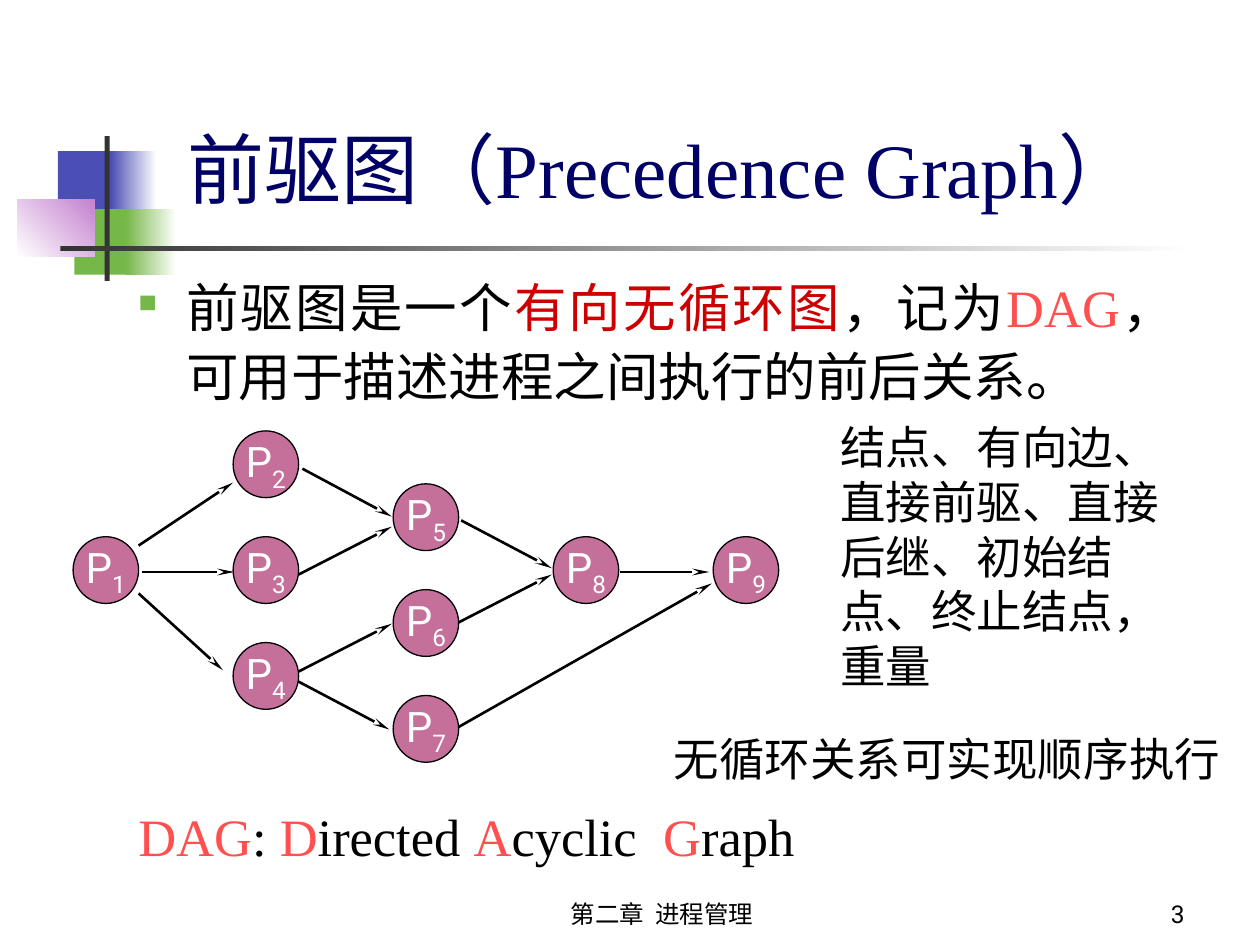
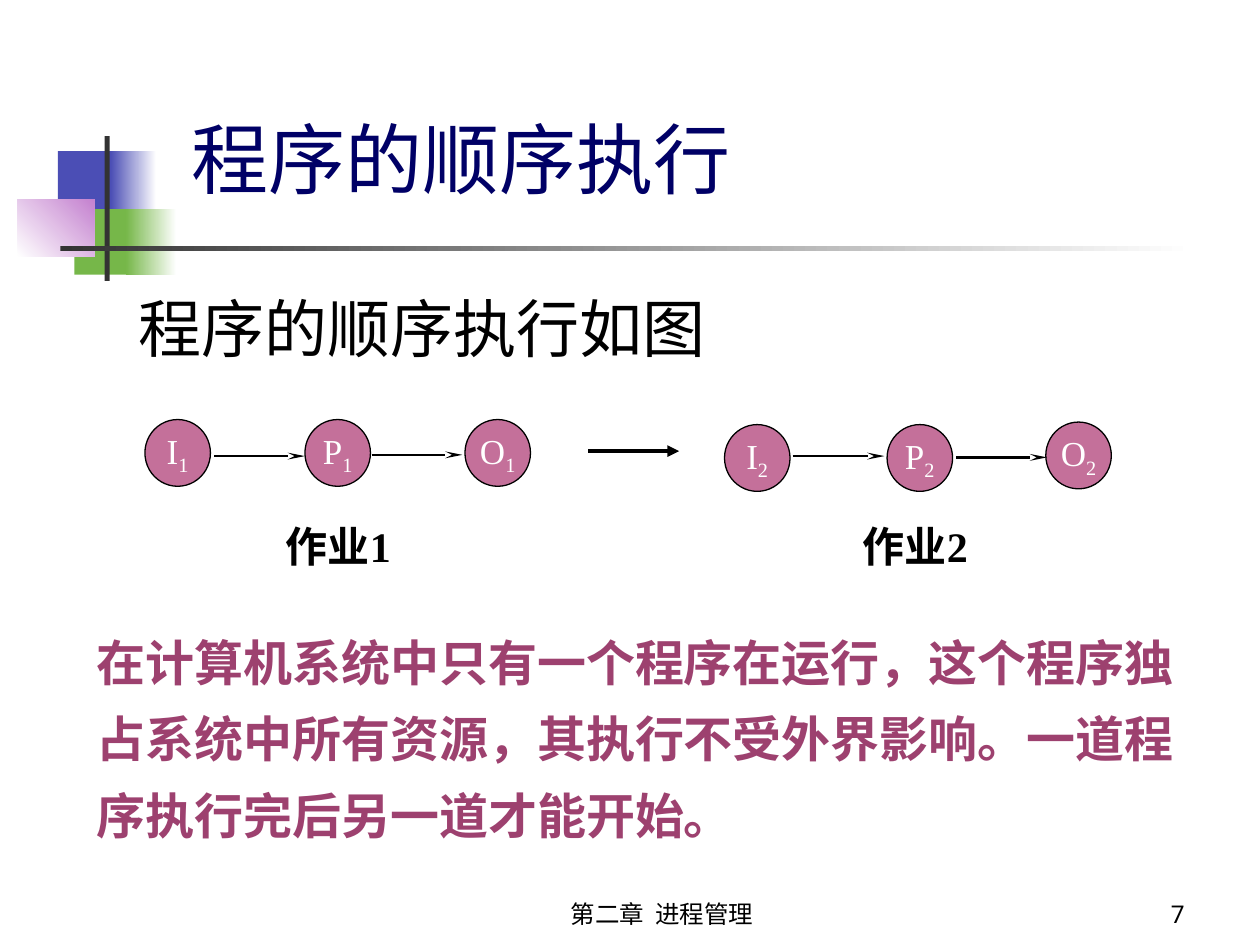
"""Build two slides on precedence graphs and sequential program execution."""
from dataclasses import dataclass, field
from typing import Any, NamedTuple, Optional

from lxml import etree
from pptx import Presentation
from pptx import util as u
from pptx.dml.color import RGBColor
from pptx.enum import shapes, text
from pptx.oxml.ns import qn

EMU_PER_PX = 9144

BLACK = RGBColor(0x00, 0x00, 0x00)
WHITE = RGBColor(0xFF, 0xFF, 0xFF)
NAVY = RGBColor(0x00, 0x00, 0x66)
BLUE = RGBColor(0x4B, 0x4E, 0xB5)
GREEN = RGBColor(0x76, 0xB7, 0x49)
LILAC = RGBColor(0xC4, 0x81, 0xCF)
CHARCOAL = RGBColor(0x33, 0x33, 0x33)
MAUVE = RGBColor(0xC4, 0x70, 0x9A)
PLUM = RGBColor(0x9D, 0x41, 0x6F)
RED = RGBColor(0xCC, 0x00, 0x00)
CORAL = RGBColor(0xFF, 0x50, 0x50)

SERIF = "Times New Roman"
SANS = "Roboto"
NARROW = "Arial Narrow"
CHINESE = "Noto Sans CJK SC"

NODE_WIDTH, NODE_HEIGHT = 52, 53
FOOTER = "第二章  进程管理"


class Box(NamedTuple):
    """Left, top, width and height in px."""

    left: int
    top: int
    width: int
    height: int


class Band(NamedTuple):
    """A decorative rectangle with a solid or two-colour fill."""

    box: Box
    start: RGBColor
    end: Optional[RGBColor] = None
    angle: int = 0


class Span(NamedTuple):
    """A piece of text with its own colour, font or baseline."""

    words: str
    color: Optional[RGBColor] = None
    font: Optional[str] = None
    baseline: int = 0


class Node(NamedTuple):
    """A labelled circle with a subscript."""

    letter: str
    index: int
    left: int
    top: int


class Arrow(NamedTuple):
    """A directed line between two points."""

    x1: int
    y1: int
    x2: int
    y2: int
    head: str = "stealth"
    weight: float = 1.5


@dataclass
class Label:
    """A text box with one paragraph of styled spans."""

    box: Box
    spans: list[Span]
    size: int
    font: str
    color: RGBColor = BLACK
    bold: bool = False
    wrap: bool = True
    bullet: bool = False
    hanging: bool = True
    anchor: Any = text.MSO_ANCHOR.TOP
    layout: dict[str, Any] = field(default_factory=dict)


BANDS = [
    Band(Box(46, 120, 48, 52), BLUE),
    Band(Box(88, 120, 36, 52), BLUE, WHITE),
    Band(Box(59, 166, 46, 52), GREEN),
    Band(Box(100, 166, 40, 52), GREEN, WHITE),
    Band(Box(14, 158, 61, 46), WHITE, LILAC, 45),
    Band(Box(83, 108, 4, 115), CHARCOAL),
    Band(Box(48, 195, 900, 4), CHARCOAL, WHITE),
]

GRAPH_CELLS = [(0, 2), (1, 0), (1, 2), (1, 4), (2, 1), (2, 3), (2, 5), (3, 2), (4, 2)]
GRAPH_NODES = [
    Node("P", index, 58 + 127 * column, 342 + 42 * row)
    for index, (column, row) in enumerate(GRAPH_CELLS, 1)
]
GRAPH_ARROWS = [
    Arrow(110, 433, 185, 383),
    Arrow(237, 456, 311, 418),
    Arrow(113, 454, 186, 454),
    Arrow(110, 471, 177, 532),
    Arrow(240, 372, 311, 410),
    Arrow(237, 533, 311, 495),
    Arrow(237, 541, 309, 579),
    Arrow(364, 494, 438, 456),
    Arrow(366, 413, 438, 451),
    Arrow(492, 454, 563, 454),
    Arrow(364, 577, 565, 463),
]
GRAPH_LABELS = [
    Label(
        Box(100, 208, 842, 138),
        [
            Span("前驱图是一个"),
            Span("有向无循环图", RED),
            Span("，记为"),
            Span("DAG", CORAL),
            Span("，可用于描述进程之间执行的前后关系。"),
        ],
        30,
        SERIF,
        bullet=True,
        layout={"alignment": text.PP_ALIGN.JUSTIFY, "line_spacing": 1.1},
    ),
    Label(
        Box(657, 328, 299, 230),
        [Span("结点、有向边、直接前驱、直接后继、初始结点、终止结点，重量")],
        26,
        NARROW,
        hanging=False,
    ),
    Label(
        Box(100, 633, 600, 60),
        [
            Span("DAG", CORAL),
            Span(": "),
            Span("D", CORAL),
            Span("irected "),
            Span("A", CORAL),
            Span("cyclic  "),
            Span("G", CORAL),
            Span("raph"),
        ],
        30,
        SERIF,
    ),
    Label(Box(525, 575, 454, 54), [Span("无循环关系可实现顺序执行")], 26, NARROW, wrap=False),
]

JOB_NODES = [
    Node("I", 1, 115, 333),
    Node("P", 1, 242, 333),
    Node("O", 1, 369, 333),
    Node("I", 2, 575, 337),
    Node("P", 2, 704, 337),
    Node("O", 2, 830, 335),
]
JOB_ARROWS = [
    Arrow(170, 362, 242, 362),
    Arrow(295, 361, 367, 361),
    Arrow(467, 358, 539, 358, "triangle", 2.25),
    Arrow(629, 362, 702, 362),
    Arrow(759, 363, 831, 363),
]
JOB_LABELS = [
    Label(Box(100, 225, 833, 83), [Span("程序的顺序执行", font=CHINESE), Span("如图")], 36, SERIF),
    Label(
        Box(67, 483, 883, 192),
        [Span("在计算机系统中只有一个程序在运行，这个程序独占系统中所有资源，"
              "其执行不受外界影响。一道程序执行完后另一道才能开始。")],
        28,
        CHINESE,
        PLUM,
        bold=True,
        layout={"line_spacing": 1.3},
    ),
] + [
    Label(Box(left, 408, 125, 50), [Span(f"作业{job}")], 24, SERIF, bold=True)
    for job, left in enumerate((217, 675), 1)
]


def px(length: int) -> u.Emu:
    """Turn px into EMU."""
    return u.Emu(length * EMU_PER_PX)


def set_all(target: Any, values: dict[str, Any]) -> None:
    """Set each named attribute on the target."""
    for name, value in values.items():
        setattr(target, name, value)


def add_bullet(paragraph: Any) -> None:
    """Give the paragraph a green square bullet and a hanging indent."""
    properties = paragraph._p.get_or_add_pPr()
    properties.set("marL", str(px(38)))
    properties.set("indent", str(-px(38)))
    color = etree.SubElement(properties, qn("a:buClr"))
    etree.SubElement(color, qn("a:srgbClr"), val=str(GREEN))
    etree.SubElement(properties, qn("a:buSzPct"), val="48000")
    etree.SubElement(properties, qn("a:buChar"), char="■")


def write(shape: Any, label: Label) -> None:
    """Write the label's text into the shape."""
    frame = shape.text_frame
    set_all(frame, {"word_wrap": label.wrap, "vertical_anchor": label.anchor})
    paragraph = frame.paragraphs[0]
    set_all(paragraph, label.layout)
    if label.bullet:
        add_bullet(paragraph)
    if not label.hanging:
        paragraph._p.get_or_add_pPr().set("hangingPunct", "0")
    for span in label.spans:
        run = paragraph.add_run()
        run.text = span.words
        set_all(run.font, {
            "size": u.Pt(label.size),
            "name": span.font or label.font,
            "bold": label.bold,
        })
        run.font.color.rgb = span.color or label.color
        if span.baseline:
            run._r.get_or_add_rPr().set("baseline", str(span.baseline))


def draw_label(slide: Any, label: Label) -> None:
    """Add a text box for the label."""
    write(slide.shapes.add_textbox(*map(px, label.box)), label)


def draw_band(slide: Any, band: Band) -> None:
    """Add a decorative rectangle."""
    shape = slide.shapes.add_shape(shapes.MSO_SHAPE.RECTANGLE, *map(px, band.box))
    shape.shadow.inherit = False
    shape.line.fill.background()
    if band.end is None:
        shape.fill.solid()
        shape.fill.fore_color.rgb = band.start
        return
    shape.fill.gradient()
    shape.fill.gradient_angle = band.angle
    for stop, color in zip(shape.fill.gradient_stops, (band.start, band.end)):
        stop.color.rgb = color


def draw_node(slide: Any, node: Node, size: int, font: str) -> None:
    """Add a circle with its letter and subscript."""
    box = Box(node.left, node.top, NODE_WIDTH, NODE_HEIGHT)
    shape = slide.shapes.add_shape(shapes.MSO_SHAPE.OVAL, *map(px, box))
    shape.shadow.inherit = False
    shape.fill.solid()
    shape.fill.fore_color.rgb = MAUVE
    set_all(shape.line, {"width": u.Pt(0.75)})
    shape.line.color.rgb = BLACK
    spans = [Span(node.letter), Span(str(node.index), baseline=-25000)]
    write(shape, Label(box, spans, size, font, WHITE, wrap=False, anchor=text.MSO_ANCHOR.MIDDLE,
                       layout={"alignment": text.PP_ALIGN.CENTER}))


def draw_arrow(slide: Any, arrow: Arrow) -> None:
    """Add a connector with an arrowhead at its end."""
    connector = slide.shapes.add_connector(shapes.MSO_CONNECTOR.STRAIGHT, *map(px, arrow[:4]))
    connector.line.color.rgb = BLACK
    connector.line.width = u.Pt(arrow.weight)
    sizes = {"w": "sm", "len": "lg"} if arrow.head == "stealth" else {}
    etree.SubElement(connector.line._get_or_add_ln(), qn("a:tailEnd"), type=arrow.head, **sizes)
    etree.SubElement(connector._element.spPr, qn("a:effectLst"))


def build_slide(presentation: Any, number: int, title: Label, nodes: list[Node],
                node_size: int, node_font: str, arrows: list[Arrow], labels: list[Label]) -> None:
    """Add one slide with its bands, footer, title, diagram and labels."""
    slide = presentation.slides.add_slide(presentation.slide_layouts[6])
    for band in BANDS:
        draw_band(slide, band)
    for box, words, alignment in (
        (Box(367, 692, 317, 50), FOOTER, text.PP_ALIGN.CENTER),
        (Box(742, 692, 208, 50), str(number), text.PP_ALIGN.RIGHT),
    ):
        draw_label(slide, Label(box, [Span(words)], 14, SANS, anchor=text.MSO_ANCHOR.BOTTOM,
                                layout={"alignment": alignment}))
    for label in [title, *labels]:
        draw_label(slide, label)
    for node in nodes:
        draw_node(slide, node, node_size, node_font)
    for arrow in arrows:
        draw_arrow(slide, arrow)


def title_label(box: Box, words: str, font: str) -> Label:
    """Describe a slide title."""
    return Label(box, [Span(words)], 44, font, NAVY, anchor=text.MSO_ANCHOR.BOTTOM)


def main() -> None:
    """Build and save the presentation."""
    presentation = Presentation()
    set_all(presentation, {"slide_width": px(1000), "slide_height": px(750)})
    build_slide(presentation, 3,
                title_label(Box(139, 84, 777, 91), "前驱图（Precedence Graph）", SERIF),
                GRAPH_NODES, 24, SANS, GRAPH_ARROWS, GRAPH_LABELS)
    build_slide(presentation, 7,
                title_label(Box(142, 68, 836, 99), "程序的顺序执行", CHINESE),
                JOB_NODES, 20, SERIF, JOB_ARROWS, JOB_LABELS)
    presentation.save("out.pptx")


if __name__ == "__main__":
    main()
